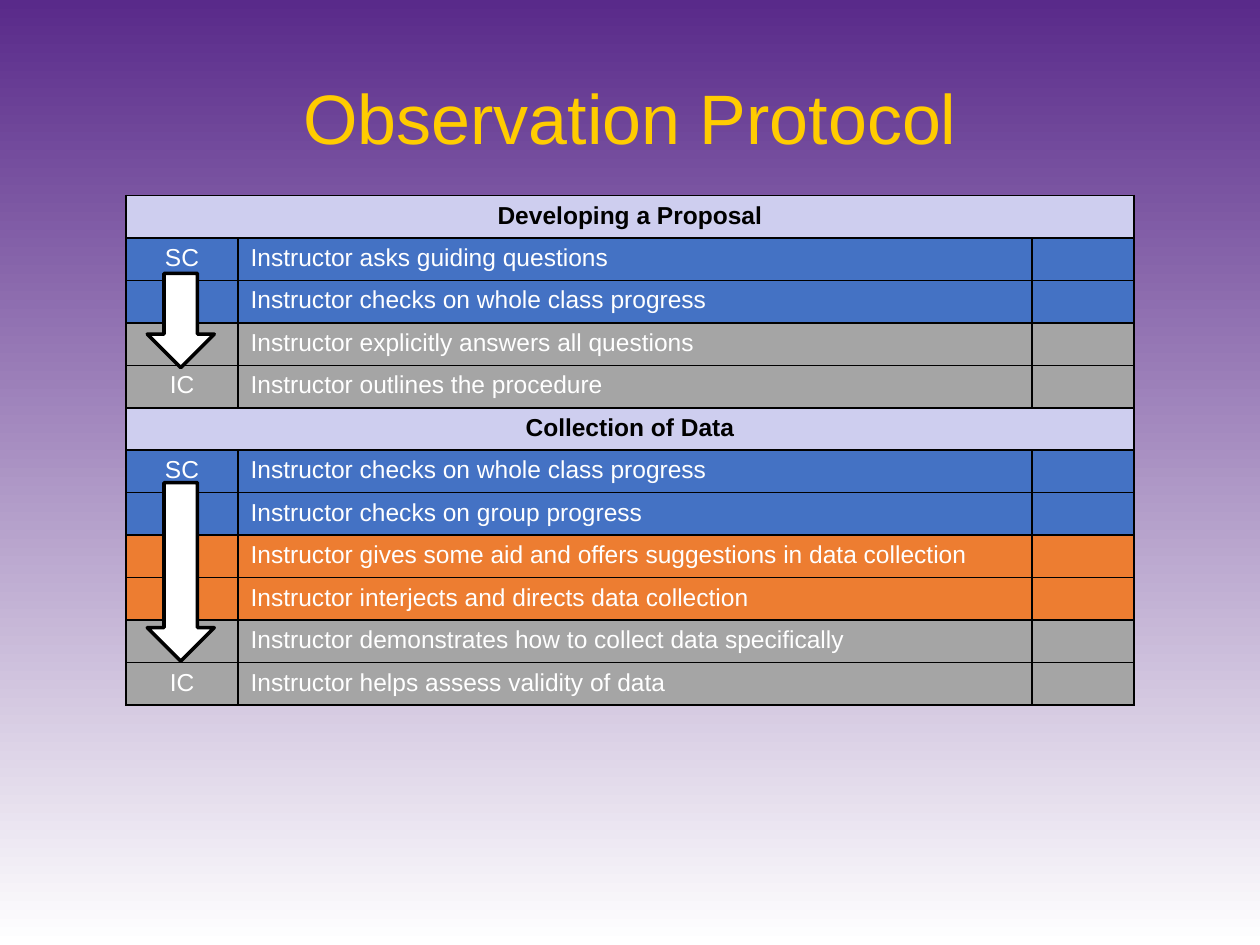
from lxml.etree import SubElement
from pptx import Presentation
from pptx.dml.color import RGBColor
from pptx.enum.shapes import MSO_SHAPE
from pptx.enum.text import MSO_ANCHOR, PP_ALIGN
from pptx.oxml.ns import qn
from pptx.util import Cm, Pt

PURPLE = RGBColor(0x59, 0x2A, 0x8A)
WHITE = RGBColor(0xFF, 0xFF, 0xFF)
BLACK = RGBColor(0x00, 0x00, 0x00)
GOLD = RGBColor(0xFF, 0xCC, 0x00)
LAVENDER = RGBColor(0xCE, 0xCE, 0xEF)
BLUE = RGBColor(0x44, 0x72, 0xC4)
ORANGE = RGBColor(0xED, 0x7D, 0x31)
GRAY = RGBColor(0xA5, 0xA5, 0xA5)

FONT = "Arial"
CELL_SIZE = 14
COLUMN_WIDTHS = [2.26, 16, 2.06]

SECTIONS = [
    ("Developing a Proposal", [
        (BLUE, "Instructor asks guiding questions"),
        (BLUE, "Instructor checks on whole class progress"),
        (GRAY, "Instructor explicitly answers all questions"),
        (GRAY, "Instructor outlines the procedure"),
    ]),
    ("Collection of Data", [
        (BLUE, "Instructor checks on whole class progress"),
        (BLUE, "Instructor checks on group progress"),
        (ORANGE, "Instructor gives some aid and offers suggestions in data collection"),
        (ORANGE, "Instructor interjects and directs data collection"),
        (GRAY, "Instructor demonstrates how to collect data specifically"),
        (GRAY, "Instructor helps assess validity of data"),
    ]),
]
ARROWS = [(1.57, 1.9), (5.79, 3.6)]


def add_run(p, text, size, color, bold=False):
    r = p.add_run()
    r.text = text
    r.font.name = FONT
    r.font.size = Pt(size)
    r.font.bold = bold
    r.font.color.rgb = color


def add_background(s):
    fill = s.background.fill
    fill.gradient()
    fill.gradient_angle = 270
    for stop, color in zip(fill.gradient_stops, (PURPLE, WHITE)):
        stop.color.rgb = color


def add_title(s, left, top, width, height):
    tf = s.shapes.add_textbox(Cm(left), Cm(top), Cm(width), Cm(height)).text_frame
    tf.word_wrap = True
    tf.vertical_anchor = MSO_ANCHOR.MIDDLE
    p = tf.paragraphs[0]
    p.alignment = PP_ALIGN.CENTER
    add_run(p, "Observation Protocol", 40, GOLD)


def add_borders(cell):
    tcPr = cell._tc.get_or_add_tcPr()
    for side in ("lnL", "lnR", "lnT", "lnB"):
        ln = SubElement(tcPr, qn(f"a:{side}"), w=str(Pt(1)))
        solid = SubElement(ln, qn("a:solidFill"))
        SubElement(solid, qn("a:srgbClr"), val=str(BLACK))


def fill_cell(cell, text, fill, color=WHITE, bold=False, align=PP_ALIGN.LEFT):
    add_borders(cell)
    cell.fill.solid()
    cell.fill.fore_color.rgb = fill
    p = cell.text_frame.paragraphs[0]
    p.alignment = align
    if text:
        add_run(p, text, CELL_SIZE, color, bold)
    else:
        p._p.get_or_add_endParaRPr().set("sz", str(CELL_SIZE * 100))


def section_rows(heading, items):
    yield LAVENDER, (heading, "", "")
    for i, (fill, text) in enumerate(items):
        scale = "SC" if i == 0 else "IC" if i == len(items) - 1 else ""
        yield fill, (scale, text, "")


def add_protocol_table(s, left, top, width, height):
    rows = [row for section in SECTIONS for row in section_rows(*section)]
    table = s.shapes.add_table(len(rows), len(COLUMN_WIDTHS), Cm(left), Cm(top),
                               Cm(width), Cm(height)).table
    for column, column_width in zip(table.columns, COLUMN_WIDTHS):
        column.width = Cm(column_width)
    for i, (fill, texts) in enumerate(rows):
        table.rows[i].height = Cm(height / len(rows))
        heading = fill == LAVENDER
        if heading:
            table.cell(i, 0).merge(table.cell(i, len(COLUMN_WIDTHS) - 1))
        for j, text in enumerate(texts):
            fill_cell(table.cell(i, j), text, fill, BLACK if heading else WHITE,
                      heading, PP_ALIGN.LEFT if j else PP_ALIGN.CENTER)


def add_scale_arrows(s, left, top, width):
    for offset, height in ARROWS:
        sp = s.shapes.add_shape(MSO_SHAPE.DOWN_ARROW, Cm(left), Cm(top + offset),
                                Cm(width), Cm(height))
        sp.shadow.inherit = False
        sp.fill.solid()
        sp.fill.fore_color.rgb = WHITE
        sp.line.color.rgb = BLACK
        sp.line.width = Pt(2)


def main():
    prs = Presentation()
    prs.slide_width, prs.slide_height = Cm(25.4), Cm(19.05)
    s = prs.slides.add_slide(prs.slide_layouts[6])
    add_background(s)
    add_title(s, 1.27, 0.76, 22.86, 3.18)
    add_protocol_table(s, 2.54, 3.94, sum(COLUMN_WIDTHS), 10.28)
    add_scale_arrows(s, 2.97, 3.94, 1.35)
    prs.save("out.pptx")


if __name__ == "__main__":
    main()
